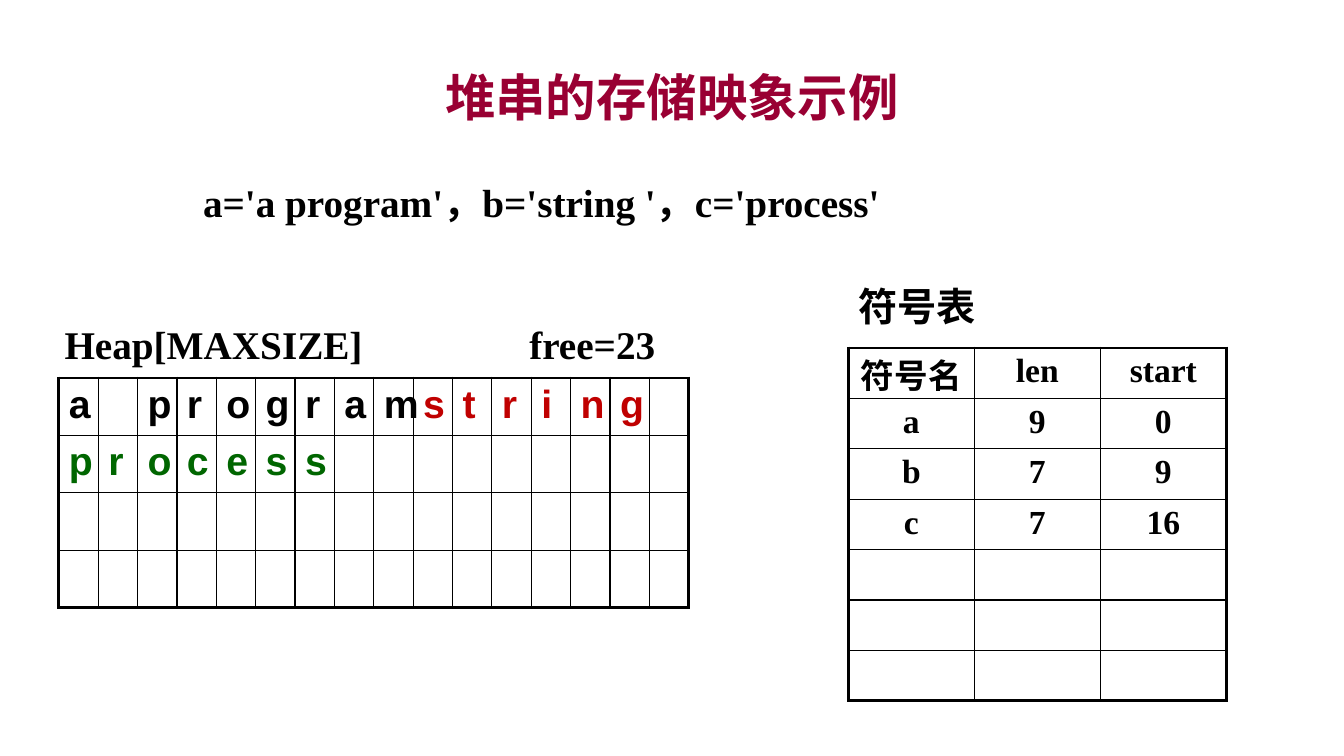
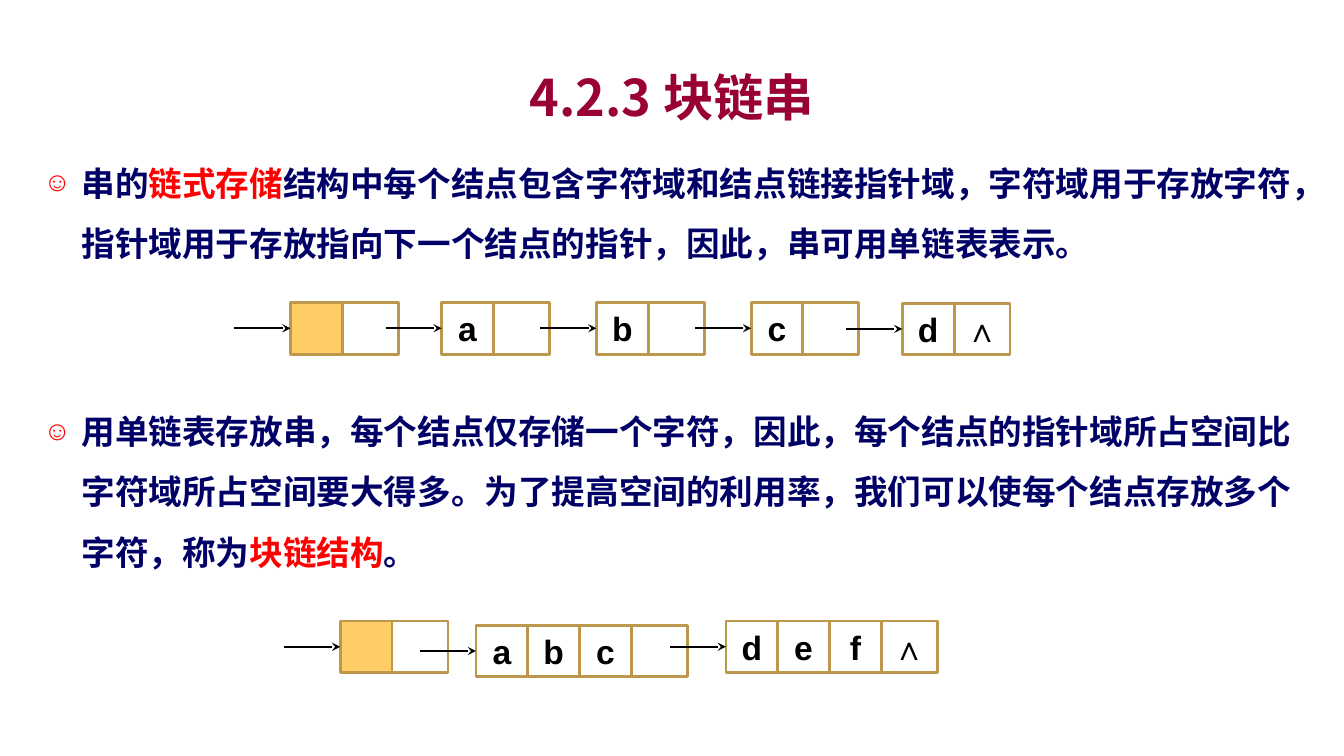
from dataclasses import dataclass

from lxml.etree import SubElement
from pptx import Presentation
from pptx.dml.color import RGBColor as Color
from pptx.enum.shapes import MSO_CONNECTOR as Connector, MSO_SHAPE as Preset
from pptx.enum.text import MSO_ANCHOR as Anchor, MSO_AUTO_SIZE as AutoSize, PP_ALIGN as Align
from pptx.oxml.ns import qn
from pptx.util import Pt


@dataclass(frozen=True)
class Theme:
    black: str = "000000"
    title: str = "990033"
    body: str = "000066"
    accent: str = "FF0000"
    second_word: str = "C00000"
    third_word: str = "006600"
    node_fill: str = "FFCC66"
    node_line: str = "BD974B"
    chinese: str = "Noto Sans CJK SC"
    serif: str = "Times New Roman"
    sans: str = "Arial"
    title_size: int = 36
    label_size: int = 28
    text_size: int = 24
    thin: float = 1
    thick: float = 2.25
    node_border: float = 2
    arrow: float = 1.5


THEME = Theme()
DATA_WIDTH, POINTER_WIDTH, NODE_HEIGHT, ARROW_LENGTH = 37, 40, 37, 40


def style(para, face, size, color, align=None):
    font = para.font
    font.name, font.size, font.bold = face, Pt(size), True
    font.color.rgb = Color.from_string(color)
    properties = para._p.pPr.find(qn("a:defRPr"))
    SubElement(properties, qn("a:ea"), typeface=THEME.chinese)
    para.alignment = align


def place(shape, left, top, width, height):
    shape.left, shape.top = Pt(left), Pt(top)
    shape.width, shape.height = Pt(width), Pt(height)


def new_page(deck, layout, title):
    page = deck.slides.add_slide(deck.slide_layouts.get_by_name(layout))
    place(page.shapes.title, 72, 42, 816, 54)
    frame = page.shapes.title.text_frame
    frame.text = title
    frame.auto_size = AutoSize.NONE
    frame.vertical_anchor = Anchor.MIDDLE
    style(frame.paragraphs[0], THEME.chinese, THEME.title_size, THEME.title, Align.CENTER)
    return page


def add_label(page, text, left, top, width, tab=None):
    box = page.shapes.add_textbox(Pt(left), Pt(top), Pt(width), Pt(41))
    frame = box.text_frame
    frame.word_wrap = True
    frame.text = text
    para = frame.paragraphs[0]
    if tab:
        stops = SubElement(para._p.get_or_add_pPr(), qn("a:tabLst"))
        SubElement(stops, qn("a:tab"), pos=str(Pt(tab)), algn="l")
    style(para, THEME.serif, THEME.label_size, THEME.black)


def add_border(cell, side, weight):
    line = SubElement(cell._tc.get_or_add_tcPr(), qn(f"a:ln{side}"), w=str(Pt(weight)))
    fill = SubElement(line, qn("a:solidFill"))
    SubElement(fill, qn("a:srgbClr"), val=THEME.black)


def add_grid(page, rows, columns, left, top, width, height):
    frame = page.shapes.add_table(rows, columns, Pt(left), Pt(top), Pt(width), Pt(height))
    table = frame.table
    table.first_row = table.horz_banding = False
    for column in table.columns:
        column.width = Pt(width / columns)
    for row in table.rows:
        row.height = Pt(height / rows)
    for r in range(rows):
        for c in range(columns):
            cell = table.cell(r, c)
            outer = {"L": c == 0, "R": c == columns - 1, "T": r == 0, "B": r == rows - 1}
            for side, is_outer in outer.items():
                add_border(cell, side, THEME.thick if is_outer else THEME.thin)
            cell.fill.background()
    return table


def fill_cell(cell, text, face, size, color, align=None):
    cell.text = text
    style(cell.text_frame.paragraphs[0], face, size, color, align)


def add_heap(page, left, top, width, height):
    columns = 16
    table = add_grid(page, 4, columns, left, top, width, height)
    words = [("a program", 0, THEME.black), ("string", 9, THEME.second_word),
             ("process", columns, THEME.third_word)]
    for word, start, color in words:
        for position, letter in enumerate(word, start):
            if letter != " ":
                cell = table.cell(*divmod(position, columns))
                fill_cell(cell, letter, THEME.sans, THEME.label_size, color)


def add_symbols(page, left, top, width, height):
    rows = [("符号名", "len", "start"), ("a", "9", "0"), ("b", "7", "9"), ("c", "7", "16")]
    table = add_grid(page, 7, 3, left, top, width, height)
    for r, row in enumerate(rows):
        for c, text in enumerate(row):
            cell = table.cell(r, c)
            cell.margin_bottom = 0
            fill_cell(cell, text, THEME.serif, THEME.text_size, THEME.black, Align.CENTER)
    table.cell(0, 0).margin_top = Pt(1)


def add_bullet(para, spans, space_before):
    for text, color in spans:
        span = para.add_run()
        span.text = text
        if color != THEME.body:
            span.font.color.rgb = Color.from_string(color)
    para.line_spacing = Pt(43.2)
    para.space_before, para.space_after = Pt(space_before), Pt(6)
    properties = para._p.get_or_add_pPr()
    properties.set("marL", str(Pt(27)))
    properties.set("indent", str(Pt(-27)))
    SubElement(SubElement(properties, qn("a:buClr")), qn("a:srgbClr"), val=THEME.accent)
    SubElement(properties, qn("a:buSzPct"), val="80000")
    SubElement(properties, qn("a:buChar"), char="☺")
    style(para, THEME.chinese, THEME.text_size, THEME.body)


def add_body(page, left, top, width, height):
    body = page.placeholders[1]
    place(body, left, top, width, height)
    frame = body.text_frame
    frame.auto_size = AutoSize.NONE
    add_bullet(frame.paragraphs[0], [
        ("串的", THEME.body), ("链式存储", THEME.accent),
        ("结构中每个结点包含字符域和结点链接指针域，字符域用于存放字符，"
         "指针域用于存放指向下一个结点的指针，因此，串可用单链表表示。", THEME.body)], 0)
    add_bullet(frame.add_paragraph(), [
        ("用单链表存放串，每个结点仅存储一个字符，因此，每个结点的指针域所占空间比"
         "字符域所占空间要大得多。为了提高空间的利用率，我们可以使每个结点存放多个"
         "字符，称为", THEME.body),
        ("块链结构", THEME.accent), ("。", THEME.body)], 85)


def add_field(group, text, left, top, width, color=None):
    field = group.shapes.add_shape(Preset.RECTANGLE, Pt(left), Pt(top), Pt(width), Pt(NODE_HEIGHT))
    field.shadow.inherit = False
    field.line.color.rgb = Color.from_string(THEME.node_line)
    field.line.width = Pt(THEME.node_border)
    if color:
        field.fill.solid()
        field.fill.fore_color.rgb = Color.from_string(color)
    else:
        field.fill.background()
    if text:
        frame = field.text_frame
        frame.text = text
        frame.vertical_anchor = Anchor.MIDDLE
        style(frame.paragraphs[0], THEME.sans, THEME.text_size, THEME.black, Align.CENTER)


def add_arrow(group, left, right, middle):
    arrow = group.shapes.add_connector(Connector.STRAIGHT, Pt(left), Pt(middle), Pt(right), Pt(middle))
    arrow.line.color.rgb = Color.from_string(THEME.black)
    arrow.line.width = Pt(THEME.arrow)
    SubElement(arrow.line._get_or_add_ln(), qn("a:tailEnd"), type="stealth")
    SubElement(arrow._element.spPr, qn("a:effectLst"))


def add_chain(page, nodes):
    group = page.shapes.add_group_shape()
    for index, (left, top, letters) in enumerate(nodes):
        is_head, is_last = index == 0, index == len(nodes) - 1
        fields = [""] if is_head else letters
        for position, letter in enumerate(fields):
            add_field(group, letter, left + position * DATA_WIDTH, top, DATA_WIDTH,
                      THEME.node_fill if is_head else None)
        add_field(group, "∧" if is_last else "", left + len(fields) * DATA_WIDTH, top, POINTER_WIDTH)
        add_arrow(group, left - ARROW_LENGTH, left, top + NODE_HEIGHT / 2)


def build_heap_page(deck):
    page = new_page(deck, "Title Only", "堆串的存储映象示例")
    add_label(page, "a='a program'，b='string '，c='process'", 138, 124, 516)
    add_heap(page, 42, 270, 450, 164)
    add_label(page, "Heap[MAXSIZE]\tfree=23", 39, 225, 444, 332)
    add_symbols(page, 606, 248.5, 270, 252)
    add_label(page, "符号表", 606, 198, 114)


def build_chain_page(deck):
    page = new_page(deck, "Title and Content", "4.2.3 块链串")
    add_body(page, 24, 98, 912, 312)
    add_chain(page, [(207.5, 216, ""), (315.5, 216, "a"), (426, 216, "b"),
                     (536.5, 216, "c"), (644.5, 216.5, "d")])
    add_chain(page, [(243, 443.5, ""), (340, 446.5, "abc"), (518.5, 443.5, "def")])


def main():
    deck = Presentation()
    deck.slide_width, deck.slide_height = Pt(960), Pt(540)
    build_heap_page(deck)
    build_chain_page(deck)
    deck.save("out.pptx")


if __name__ == "__main__":
    main()
